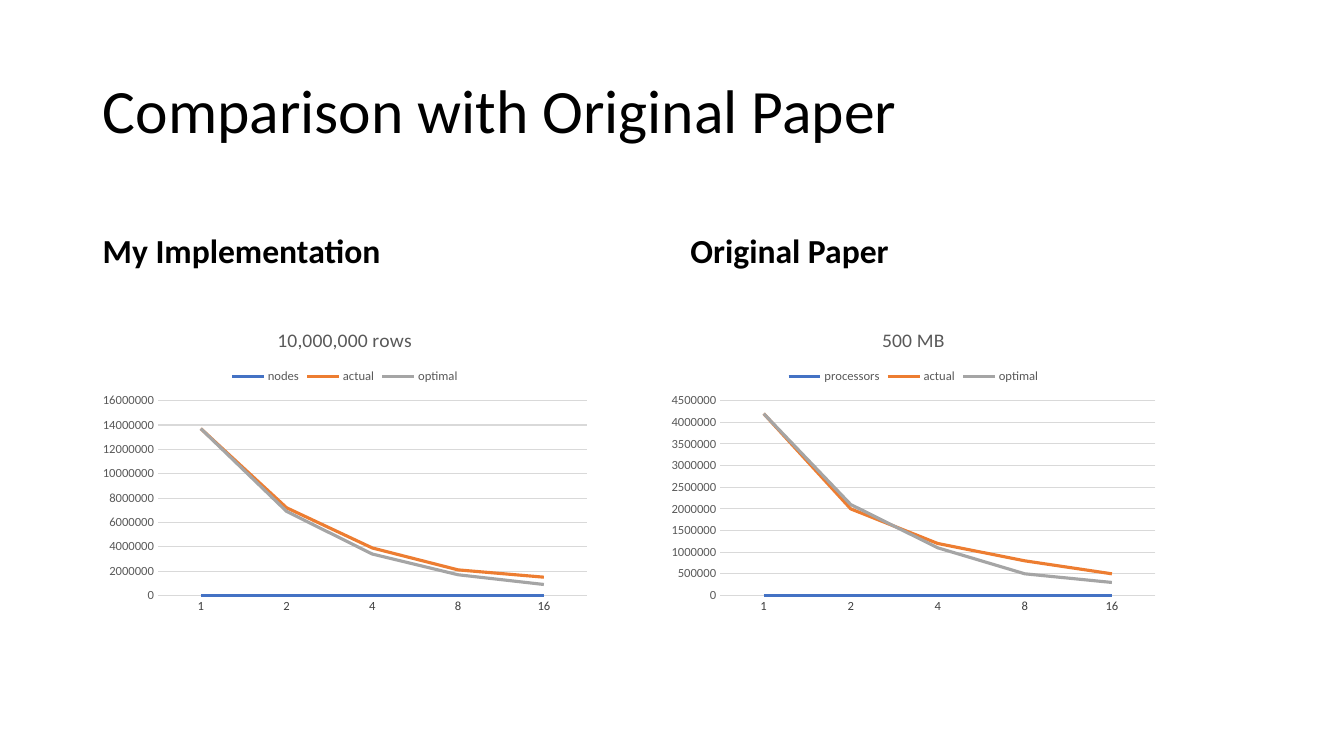
import pptx
import pptx.chart.data
import pptx.dml.color
import pptx.enum.chart
import pptx.enum.text
import pptx.util
from pptx.util import Inches

COLORS = {"text": "000000", "muted": "595959", "label": "404040", "grid": "D9D9D9",
          "count": "4472C4", "actual": "ED7D31", "optimal": "A5A5A5"}
FONT = "Calibri"


def style_font(font, size, color, bold=False):
    font.name = FONT
    font.size = pptx.util.Pt(size)
    font.bold = bold
    font.color.rgb = pptx.dml.color.RGBColor.from_string(COLORS[color])


def write_text(frame, text, size, color="text", bold=False, anchor=None, **spacing):
    frame.text = text
    frame.word_wrap = True
    if anchor is not None:
        frame.vertical_anchor = anchor
    para = frame.paragraphs[0]
    para.alignment = spacing.get("align", pptx.enum.text.PP_ALIGN.LEFT)
    para.line_spacing = spacing.get("line", 0.9)
    para.space_before = pptx.util.Pt(spacing.get("before", 0))
    style_font(para.runs[0].font, size, color, bold)


deck = pptx.Presentation()
deck.slide_width, deck.slide_height = Inches(13.33), Inches(7.5)
page = deck.slides.add_slide(deck.slide_layouts[5])

# Title
title = page.shapes.title
title.left, title.top = Inches(0.92), Inches(0.4)
title.width, title.height = Inches(11.5), Inches(1.45)
write_text(title.text_frame, "Comparison with Original Paper", 44,
           anchor=pptx.enum.text.MSO_ANCHOR.MIDDLE)

# One column per experiment: heading above a line chart
node_counts = [1, 2, 4, 8, 16]
columns = [
    {"heading": "My Implementation", "heading_left": 0.92, "heading_width": 5.64,
     "chart_title": "10,000,000 rows", "chart_left": 0.92,
     "count_name": "nodes", "maximum": 16000000, "step": 2000000,
     "actual": [13700000, 7200000, 3900000, 2100000, 1500000],
     "optimal": [13700000, 6900000, 3400000, 1700000, 900000]},
    {"heading": "Original Paper", "heading_left": 6.75, "heading_width": 5.67,
     "chart_title": "500 MB", "chart_left": 6.56,
     "count_name": "processors", "maximum": 4500000, "step": 500000,
     "actual": [4200000, 2000000, 1200000, 800000, 500000],
     "optimal": [4200000, 2100000, 1100000, 500000, 300000]},
]

for column in columns:
    # Heading
    box = page.shapes.add_textbox(Inches(column["heading_left"]), Inches(1.84),
                                  Inches(column["heading_width"]), Inches(0.9))
    write_text(box.text_frame, column["heading"], 24, bold=True, before=10,
               anchor=pptx.enum.text.MSO_ANCHOR.BOTTOM)

    # Chart data
    data = pptx.chart.data.CategoryChartData()
    data.categories = ["1", "2", "3", "4", "5"]
    data.add_series(column["count_name"], node_counts)
    data.add_series("actual", column["actual"])
    data.add_series("optimal", column["optimal"])
    chart = page.shapes.add_chart(pptx.enum.chart.XL_CHART_TYPE.LINE,
                                  Inches(column["chart_left"]), Inches(3.09),
                                  Inches(5), Inches(3), data).chart
    style_font(chart.font, 10, "text")

    # Chart title and legend
    chart.has_title = True
    write_text(chart.chart_title.text_frame, column["chart_title"], 14, "muted",
               align=pptx.enum.text.PP_ALIGN.CENTER, line=1.0)
    chart.chart_title.include_in_layout = False
    chart.has_legend = True
    chart.legend.position = pptx.enum.chart.XL_LEGEND_POSITION.TOP
    chart.legend.include_in_layout = False
    style_font(chart.legend.font, 9, "muted")

    # Axes
    chart.category_axis.visible = False
    axis = chart.value_axis
    axis.minimum_scale, axis.maximum_scale = 0, column["maximum"]
    axis.major_unit = column["step"]
    axis.major_tick_mark = pptx.enum.chart.XL_TICK_MARK.NONE
    axis.format.line.fill.background()
    style_font(axis.tick_labels.font, 9, "muted")
    grid = axis.major_gridlines.format.line
    grid.width = pptx.util.Pt(0.75)
    grid.color.rgb = pptx.dml.color.RGBColor.from_string(COLORS["grid"])

    # Lines
    plot = chart.plots[0]
    plot.vary_by_categories = False
    for series, color in zip(plot.series, ["count", "actual", "optimal"]):
        series.smooth = False
        series.marker.style = pptx.enum.chart.XL_MARKER_STYLE.NONE
        series.format.line.width = pptx.util.Pt(2.25)
        series.format.line.color.rgb = pptx.dml.color.RGBColor.from_string(COLORS[color])

    # The flat count line carries the labels under the plot
    labels = plot.series[0].data_labels
    labels.show_value = True
    labels.position = pptx.enum.chart.XL_LABEL_POSITION.BELOW
    style_font(labels.font, 9, "label")

deck.save("out.pptx")
